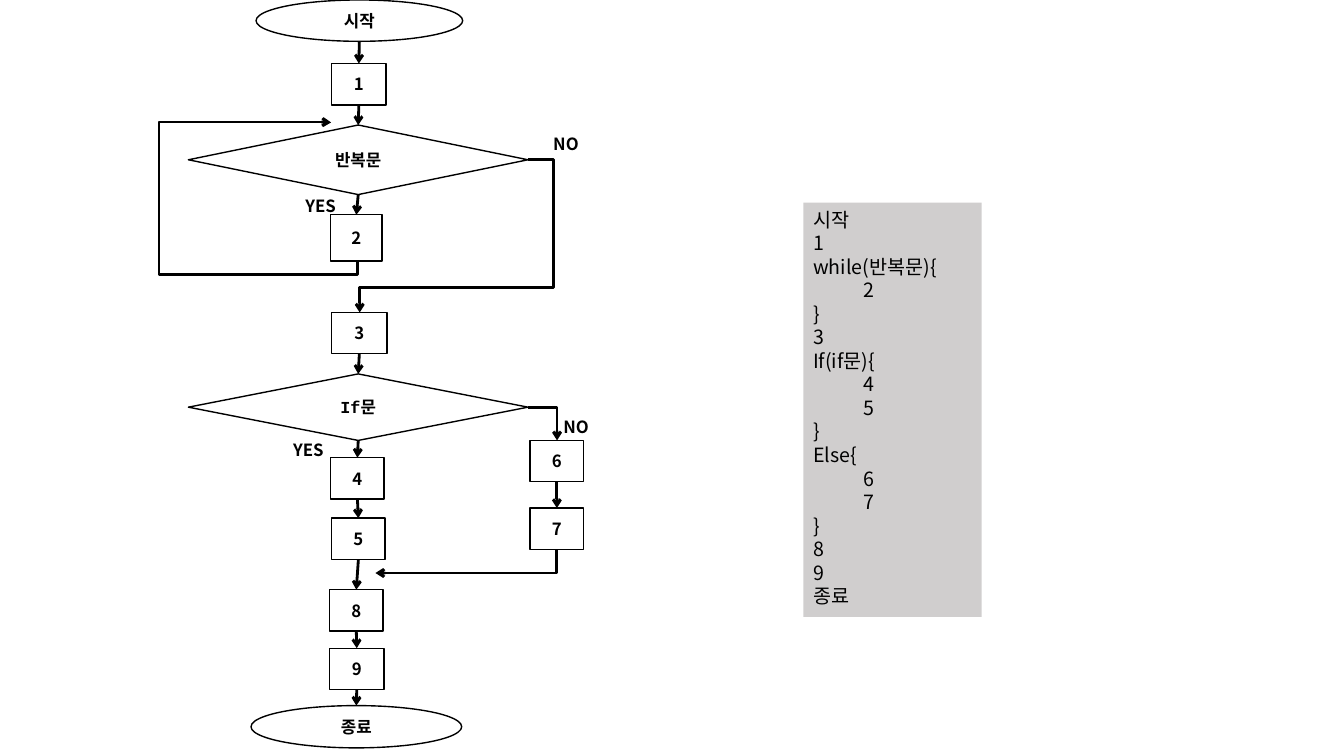
from lxml.etree import SubElement
from pptx import Presentation
from pptx.dml.color import RGBColor
from pptx.enum.shapes import MSO_CONNECTOR, MSO_SHAPE
from pptx.enum.text import MSO_ANCHOR, MSO_AUTO_SIZE, PP_ALIGN
from pptx.oxml.ns import qn
from pptx.util import Pt

BLACK = RGBColor(0, 0, 0)
WHITE = RGBColor(255, 255, 255)
GRAY = RGBColor(0xD0, 0xCE, 0xCE)
SANS, MONO = "Noto Sans CJK KR", "Courier New"

OVAL = MSO_SHAPE.OVAL
STEP = MSO_SHAPE.FLOWCHART_PROCESS
TEST = MSO_SHAPE.FLOWCHART_DECISION

# text: (kind, left, top, width, height)
NODES = {
    "시작": (OVAL, 182.9, 0, 147.6, 29.5),
    "1": (STEP, 236.9, 45.4, 38.9, 29.5),
    "반복문": (TEST, 134.6, 89.3, 242.6, 49.7),
    "2": (STEP, 236.2, 153.4, 36.7, 33.1),
    "3": (STEP, 236.9, 223.2, 39.6, 29.5),
    "If문": (TEST, 134.6, 267.1, 242.6, 47.5),
    "4": (STEP, 236.2, 326.9, 38.2, 29.5),
    "5": (STEP, 236.9, 370.1, 38.2, 29.5),
    "8": (STEP, 235.4, 421.2, 38.2, 29.5),
    "9": (STEP, 235.4, 463, 38.9, 29.5),
    "종료": (OVAL, 179.3, 504, 150.5, 30.2),
    "6": (STEP, 378.7, 314.6, 38.2, 29.5),
    "7": (STEP, 378.7, 362.9, 38.2, 29.5),
}
CHAINS = [("시작", "1", "반복문", "2"),
          ("3", "If문", "4", "5", "8", "9", "종료"),
          ("6", "7")]
# preset, left, top, width, height, turn, flip, bends
ELBOWS = [
    ("bentConnector5", 196.6, 127.4, 98.6, 18.7, 90, True, (-10200, 757200, 100300)),
    ("bentConnector4", 257, 113.8, 120.2, 109.4, 0, True, (-15000, 83600)),
    ("bentConnector2", 377.3, 290.9, 20.6, 23.7, 0, False, ()),
    ("bentConnector2", 324.7, 336.2, 16.6, 129.6, 90, False, ()),
]
LABELS = [
    ("NO", 388.1, 92.2, 58.3, 23.8),
    ("YES", 211, 136.1, 57.6, 23.8),
    ("YES", 202.3, 310.3, 44.6, 21.6),
    ("NO", 395.3, 293.8, 44.6, 21.6),
]
CODE_BOX = (573.8, 144.7, 127.4, 295.9)
CODE = ["시작", "1", "while(반복문){", "\t2", "}", "3", "If(if문){", "\t4", "\t5",
        "}", "Else{", "\t6", "\t7", "}", "8", "9", "종료"]


def pts(*nums):
    return [Pt(n) for n in nums]


def write(frame, lines, size, bold, align, face=SANS):
    frame.text = "\n".join(lines)
    for para in frame.paragraphs:
        para.alignment = align
        font = para.font
        font.size, font.bold, font.name = Pt(size), bold, face
        font.color.rgb = BLACK
        props = para._p.pPr.find(qn("a:defRPr"))
        SubElement(props, qn("a:ea"), typeface=SANS)


def add_node(shapes, text, kind, *box):
    node = shapes.add_shape(kind, *pts(*box))
    node.shadow.inherit = False
    if text == "2":
        node.fill.solid()
        node.fill.fore_color.rgb = WHITE
    else:
        node.fill.background()
    node.line.color.rgb = BLACK
    node.line.width = Pt(1)
    frame = node.text_frame
    frame.vertical_anchor = MSO_ANCHOR.MIDDLE
    face = MONO if text == "If문" else SANS
    write(frame, [text], 12, True, PP_ALIGN.CENTER, face)
    return node


def style(link):
    """Draw the connector as a black arrow without a shadow."""
    link.line.color.rgb = BLACK
    link.line.width = Pt(2)
    props = link.element.spPr
    SubElement(props.find(qn("a:ln")), qn("a:tailEnd"), type="arrow")
    SubElement(props, qn("a:effectLst"))


def add_link(shapes, src, dst):
    mid = src.left + src.width // 2
    low = src.top + src.height
    link = shapes.add_connector(MSO_CONNECTOR.STRAIGHT, mid, low, mid, dst.top)
    if src.auto_shape_type != OVAL:
        link.begin_connect(src, 2)
    link.end_connect(dst, 0)
    style(link)


def add_elbow(shapes, preset, left, top, width, height, turn, flip, bends):
    """Add a bent arrow; its frame is given before the turn."""
    link = shapes.add_connector(
        MSO_CONNECTOR.ELBOW, *pts(left, top, left + width, top + height))
    props = link.element.spPr
    frame = props.find(qn("a:xfrm"))
    if turn:
        frame.set("rot", str(turn * 60000))
    if flip:
        frame.set("flipH", "1")
    geom = props.find(qn("a:prstGeom"))
    geom.set("prst", preset)
    guides = geom.find(qn("a:avLst"))
    for num, bend in enumerate(bends, 1):
        SubElement(guides, qn("a:gd"), name=f"adj{num}", fmla=f"val {bend}")
    style(link)


def add_label(shapes, text, *box):
    frame = shapes.add_textbox(*pts(*box)).text_frame
    frame.word_wrap = True
    frame.auto_size = MSO_AUTO_SIZE.SHAPE_TO_FIT_TEXT
    write(frame, [text], 12, True, PP_ALIGN.LEFT)


def add_code(shapes):
    panel = shapes.add_textbox(*pts(*CODE_BOX))
    panel.fill.solid()
    panel.fill.fore_color.rgb = GRAY
    frame = panel.text_frame
    frame.word_wrap = True
    frame.auto_size = MSO_AUTO_SIZE.SHAPE_TO_FIT_TEXT
    write(frame, CODE, 14, False, PP_ALIGN.LEFT)


def main():
    deck = Presentation()
    deck.slide_width, deck.slide_height = pts(960, 540)
    shapes = deck.slides.add_slide(deck.slide_layouts[6]).shapes
    nodes = {text: add_node(shapes, text, *spec) for text, spec in NODES.items()}
    for chain in CHAINS:
        for src, dst in zip(chain, chain[1:]):
            add_link(shapes, nodes[src], nodes[dst])
    for elbow in ELBOWS:
        add_elbow(shapes, *elbow)
    for label in LABELS:
        add_label(shapes, *label)
    add_code(shapes)
    deck.save("out.pptx")


if __name__ == "__main__":
    main()
